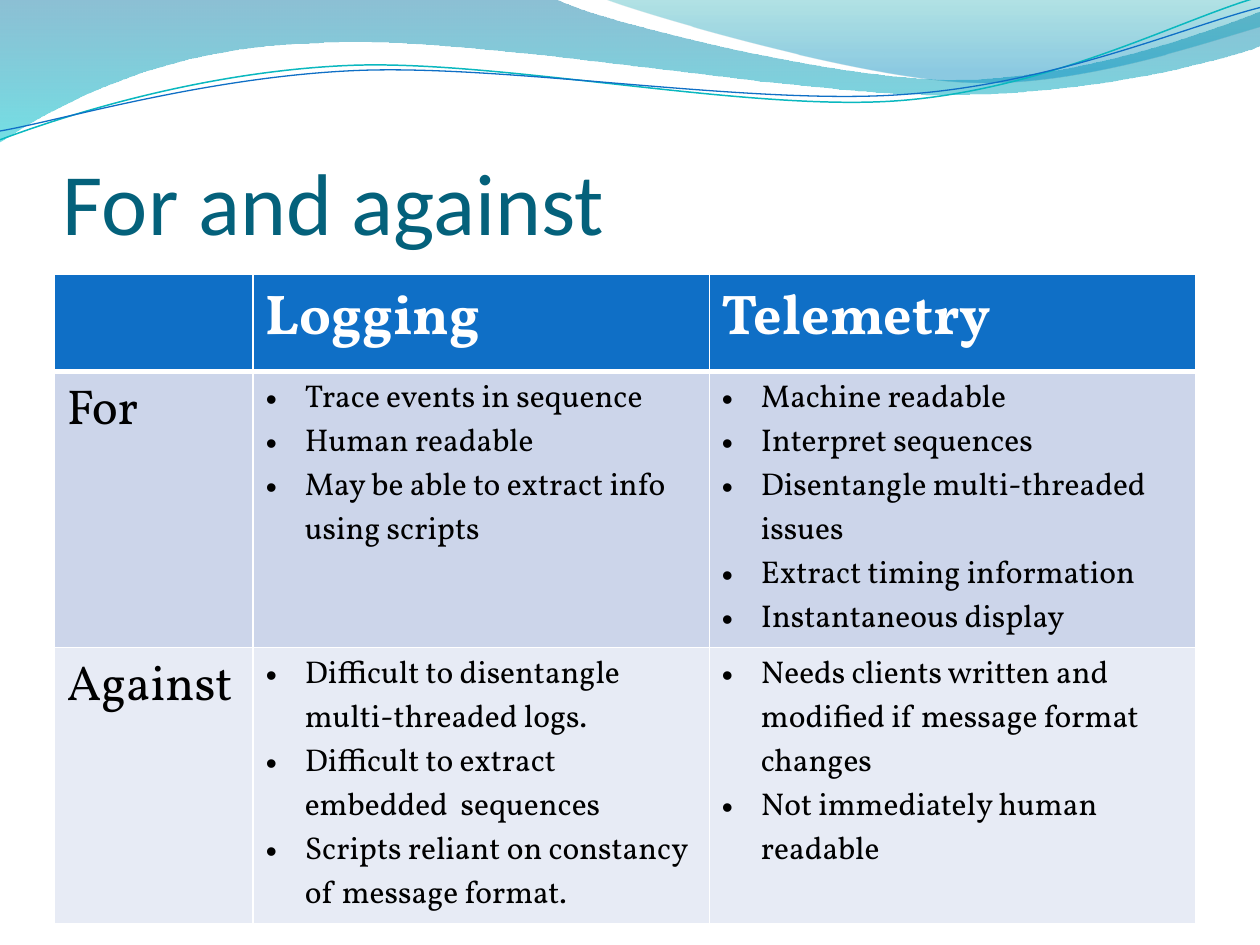
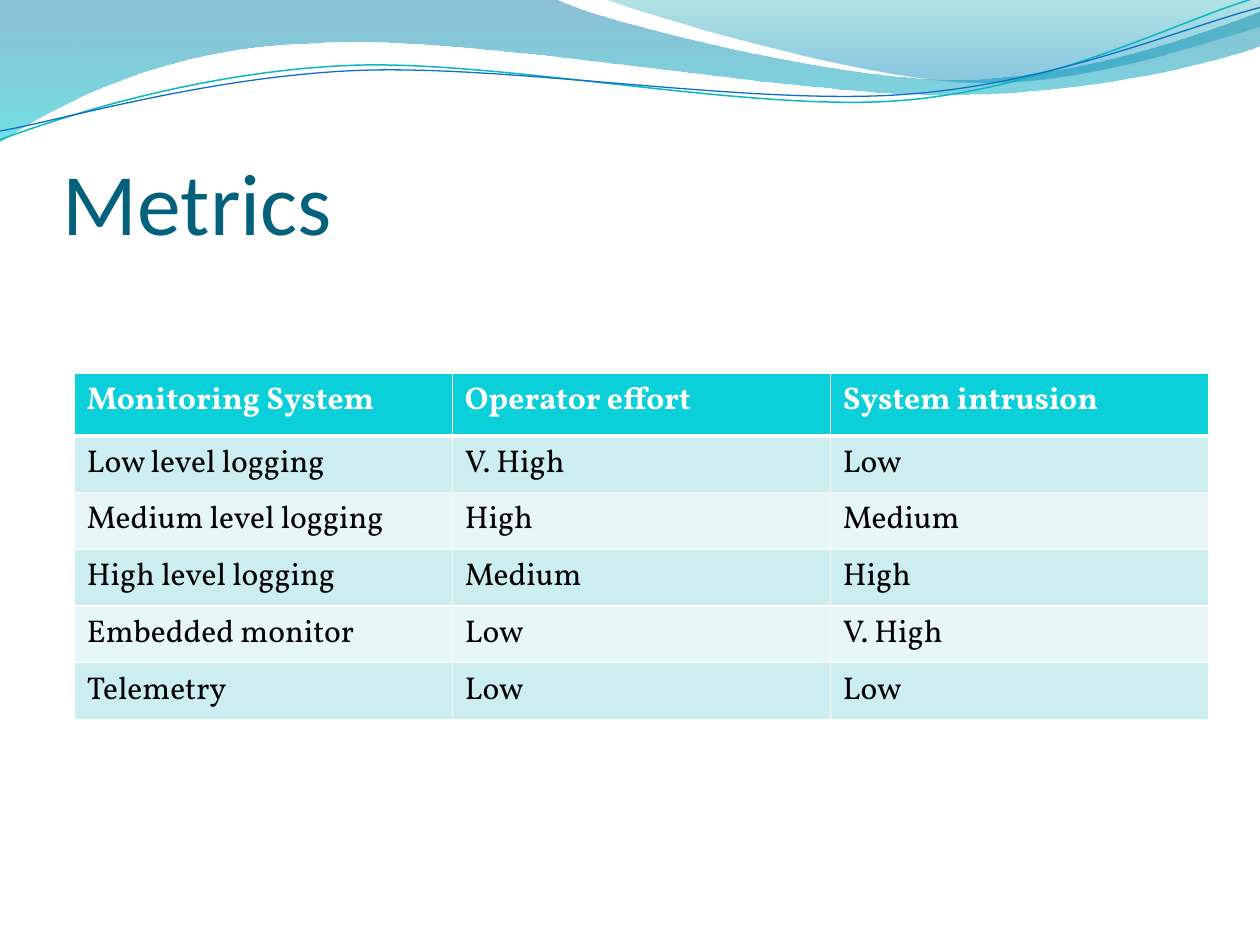
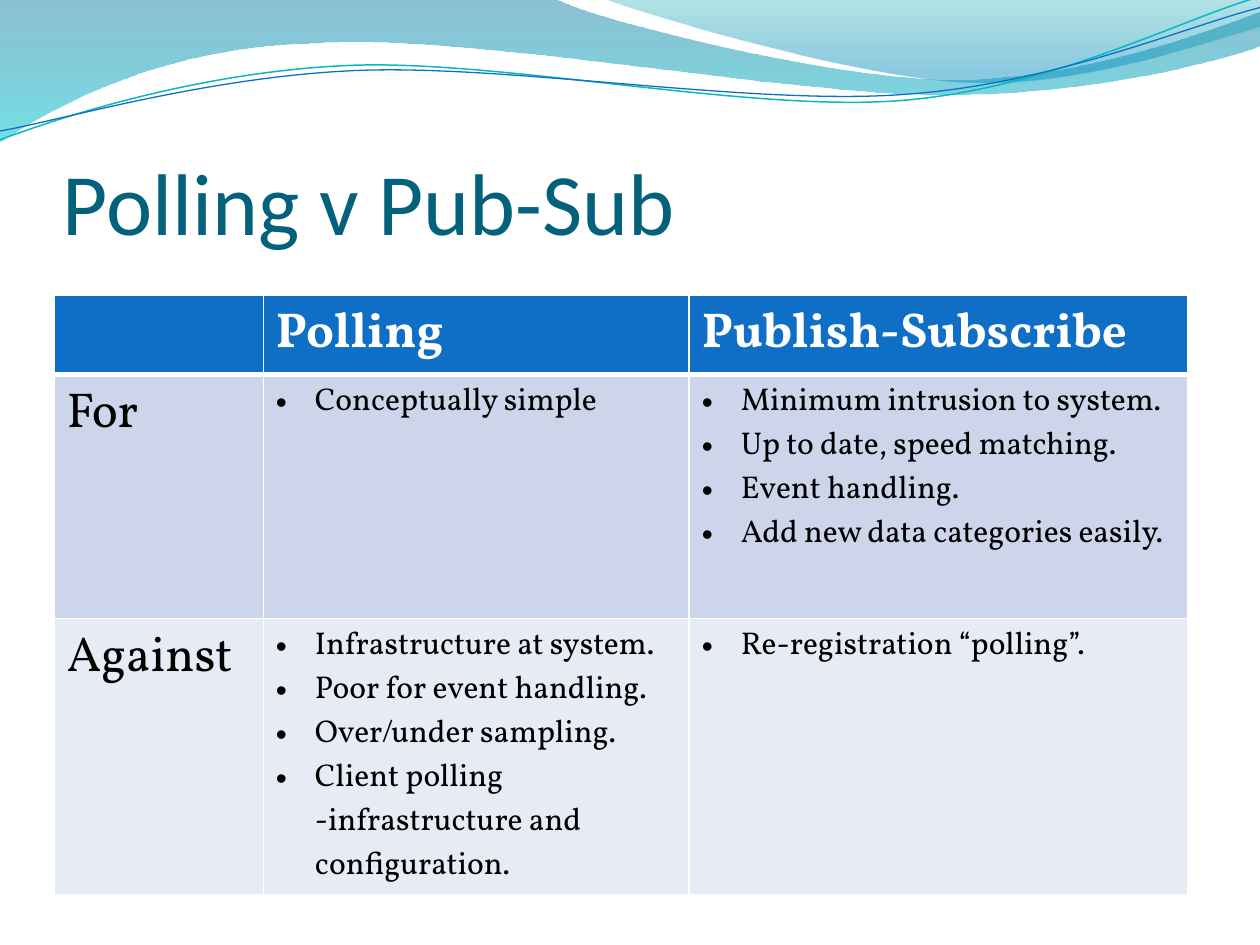
"""Build three slides that compare logging, telemetry and polling."""
from dataclasses import dataclass

from lxml import etree
from pptx import Presentation
from pptx import util as u
from pptx.dml.color import RGBColor
from pptx.enum import text
from pptx.oxml import ns

PX = 9144
TITLE_FONT, BODY_FONT = "Calibri", "Vollkorn"
COLORS = {
    "title": "04617B",
    "white": "FFFFFF",
    "black": "000000",
    "blue": "0F6FC6",
    "blue odd": "CCD5EA",
    "blue even": "E7EBF5",
    "cyan": "0BD0D9",
    "cyan odd": "CCEEF1",
    "cyan even": "E7F7F8",
    "teal line": "0AB8BF",
    "band top": "0074A1",
    "band bottom": "00C6CF",
    "crest top": "00A1A9",
    "crest bottom": "008BBF",
}


@dataclass(frozen=True)
class Stop:
    """A gradient stop with its position and opacity in percent."""
    color: str
    position: int
    opacity: int


@dataclass(frozen=True)
class Wave:
    """An outline of lines (1 point) and curves (3 points) in px."""
    start: tuple[int, int]
    segments: tuple[tuple[tuple[int, int], ...], ...]
    stops: tuple[Stop, ...] = ()
    line_color: str = ""
    line_width: float = 0


@dataclass(frozen=True)
class Grid:
    """A table; a cell holds one string or a tuple of bullets."""
    left: int
    top: int
    columns: tuple[int, ...]
    rows: tuple[int, ...]
    palette: str
    cells: tuple[tuple[str | tuple[str, ...], ...], ...]
    header_size: int = 18
    label_size: int = 18


@dataclass(frozen=True)
class Page:
    """A slide with its title and table."""
    title: str
    grid: Grid


WAVES = (
    Wave((0, 0), (
        ((440, -1),),
        ((476, 17), (664, 63), (758, 63)),
        ((853, 63), (958, 26), (1000, 9)),
        ((1001, 36),),
        ((983, 44), (870, 76), (746, 75)),
        ((622, 75), (382, 28), (257, 34)),
        ((129, 36), (46, 83), (-1, 113)),
    ), stops=(Stop("band top", 0, 45), Stop("band bottom", 100, 55))),
    Wave((479, -1), (
        ((509, 11), (682, 62), (769, 65)),
        ((856, 69), (961, 32), (1000, 21)),
        ((1000, 0),),
    ), stops=(Stop("crest top", 0, 30), Stop("crest bottom", 80, 45))),
    Wave((0, 111), (
        ((48, 93), (158, 57), (277, 52)),
        ((395, 47), (593, 89), (713, 80)),
        ((833, 71), (938, 15), (998, -2)),
    ), line_color="teal line", line_width=0.85),
    Wave((0, 104), (
        ((47, 96), (164, 61), (283, 56)),
        ((403, 51), (597, 84), (717, 75)),
        ((836, 67), (941, 21), (1000, 6)),
    ), line_color="blue", line_width=0.75),
)

PAGES = (
    Page("For and against", Grid(
        43, 218, (158, 362, 386), (77, 219, 219), "blue", (
            ("", "Logging", "Telemetry"),
            ("For",
             ("Trace events in sequence", "Human readable",
              "May be able to extract info using scripts"),
             ("Machine readable", "Interpret sequences",
              "Disentangle multi-threaded issues",
              "Extract timing information", "Instantaneous display")),
            ("Against",
             ("Difficult to disentangle multi-threaded logs.",
              "Difficult to extract embedded  sequences",
              "Scripts reliant on constancy of message format."),
             ("Needs clients written and modified if message format changes",
              "Not immediately human readable")),
        ), header_size=32, label_size=28)),
    Page("Metrics", Grid(
        59, 296, (300,) * 3, (50,) + (45,) * 5, "cyan", (
            ("Monitoring System", "Operator effort", "System intrusion"),
            ("Low level logging", "V. High", "Low"),
            ("Medium level logging", "High", "Medium"),
            ("High level logging", "Medium", "High"),
            ("Embedded monitor", "Low", "V. High"),
            ("Telemetry", "Low", "Low"),
        ))),
    Page("Polling v Pub-Sub", Grid(
        43, 234, (166, 338, 396), (63, 194, 219), "blue", (
            ("", "Polling", "Publish-Subscribe"),
            ("For",
             ("Conceptually simple",),
             ("Minimum intrusion to system.", "Up to date, speed matching.",
              "Event handling.", "Add new data categories easily.")),
            ("Against",
             ("Infrastructure at system.", "Poor for event handling.",
              "Over/under sampling.",
              "Client polling -infrastructure and configuration."),
             ("Re-registration “polling”.",)),
        ), header_size=28, label_size=28)),
)


def px(length: int) -> u.Emu:
    """Turn px into EMU."""
    return u.Emu(length * PX)


def rgb(name: str) -> RGBColor:
    """Look up a colour by name."""
    return RGBColor.from_string(COLORS[name])


def add_element(parent, tag: str, **attributes: str):
    """Append a DrawingML element."""
    return etree.SubElement(parent, ns.qn(f"a:{tag}"), attributes)


def set_font(paragraph, name: str, size: int, color: str, bold: bool = False) -> None:
    """Set the font of a whole paragraph."""
    font = paragraph.font
    font.name, font.size, font.bold = name, u.Pt(size), bold
    font.color.rgb = rgb(color)


def bend(shape, wave: Wave) -> None:
    """Join each three lines of a curved segment into one Bezier curve."""
    lines = iter(list(shape._element.spPr.iter(ns.qn("a:lnTo"))))
    for segment in wave.segments:
        first, *others = [next(lines) for _ in segment]
        if others:
            first.tag = ns.qn("a:cubicBezTo")
        for line in others:
            first.append(line[0])
            line.getparent().remove(line)


def add_wave(slide, wave: Wave) -> None:
    """Draw a wave as a gradient area or as a thin line."""
    builder = slide.shapes.build_freeform(*wave.start, scale=PX)
    points = [point for segment in wave.segments for point in segment]
    builder.add_line_segments(points, close=bool(wave.stops))
    shape = builder.convert_to_shape()
    bend(shape, wave)
    shape.shadow.inherit = False
    if not wave.stops:
        shape.fill.background()
        shape.line.color.rgb = rgb(wave.line_color)
        shape.line.width = u.Pt(wave.line_width)
        return
    shape.line.fill.background()
    shape.fill.gradient()
    shape.fill.gradient_angle = 270
    for target, stop in zip(shape.fill.gradient_stops, wave.stops):
        target.color.rgb = rgb(stop.color)
        target.position = stop.position / 100
    for color, stop in zip(shape._element.spPr.iter(ns.qn("a:srgbClr")), wave.stops):
        add_element(color, "alpha", val=str(stop.opacity * 1000))


def add_title(slide, title: str) -> None:
    """Write the slide title."""
    frame = slide.shapes.add_textbox(px(50), px(77), px(900), px(124)).text_frame
    frame.word_wrap = True
    frame.vertical_anchor = text.MSO_ANCHOR.BOTTOM
    frame.margin_left = frame.margin_right = frame.margin_bottom = 0
    frame.margin_top = px(5)
    frame.text = title
    set_font(frame.paragraphs[0], TITLE_FONT, 50, "title")


def add_borders(cell, row: int) -> None:
    """Draw white cell borders, thicker under the header."""
    widths = {"lnL": 1, "lnR": 1, "lnT": 3 if row == 1 else 1, "lnB": 1 if row else 3}
    properties = cell._tc.get_or_add_tcPr()
    for tag, width in widths.items():
        line = add_element(properties, tag, w=str(u.Pt(width)))
        add_element(add_element(line, "solidFill"), "srgbClr", val=COLORS["white"])


def add_bullet(paragraph) -> None:
    """Give a paragraph a hanging bullet."""
    properties = paragraph._p.get_or_add_pPr()
    properties.set("marL", str(px(31)))
    properties.set("indent", str(-px(31)))
    add_element(properties, "buFont", typeface="Arial")
    add_element(properties, "buChar", char="•")


def fill_cell(cell, grid: Grid, row: int, column: int) -> None:
    """Write and style one table cell."""
    add_borders(cell, row)
    shade = "" if row == 0 else " odd" if row % 2 else " even"
    cell.fill.solid()
    cell.fill.fore_color.rgb = rgb(grid.palette + shade)
    content = grid.cells[row][column]
    bulleted = isinstance(content, tuple)
    cell.text_frame.text = "\n".join(content) if bulleted else content
    size = grid.header_size if row == 0 else grid.label_size if column == 0 else 18
    for paragraph in cell.text_frame.paragraphs:
        if bulleted:
            add_bullet(paragraph)
        set_font(paragraph, BODY_FONT, size, "black" if row else "white", bold=row == 0)


def add_grid(slide, grid: Grid) -> None:
    """Draw a table."""
    table = slide.shapes.add_table(
        len(grid.rows), len(grid.columns), px(grid.left), px(grid.top),
        px(sum(grid.columns)), px(sum(grid.rows))).table
    for column, width in zip(table.columns, grid.columns):
        column.width = px(width)
    for row, height in zip(table.rows, grid.rows):
        row.height = px(height)
    for row in range(len(grid.rows)):
        for column in range(len(grid.columns)):
            fill_cell(table.cell(row, column), grid, row, column)


def main() -> None:
    """Build and save the presentation."""
    presentation = Presentation()
    presentation.slide_width, presentation.slide_height = px(1000), px(750)
    for page in PAGES:
        slide = presentation.slides.add_slide(presentation.slide_layouts[6])
        for wave in WAVES:
            add_wave(slide, wave)
        add_title(slide, page.title)
        add_grid(slide, page.grid)
    presentation.save("out.pptx")


if __name__ == "__main__":
    main()
